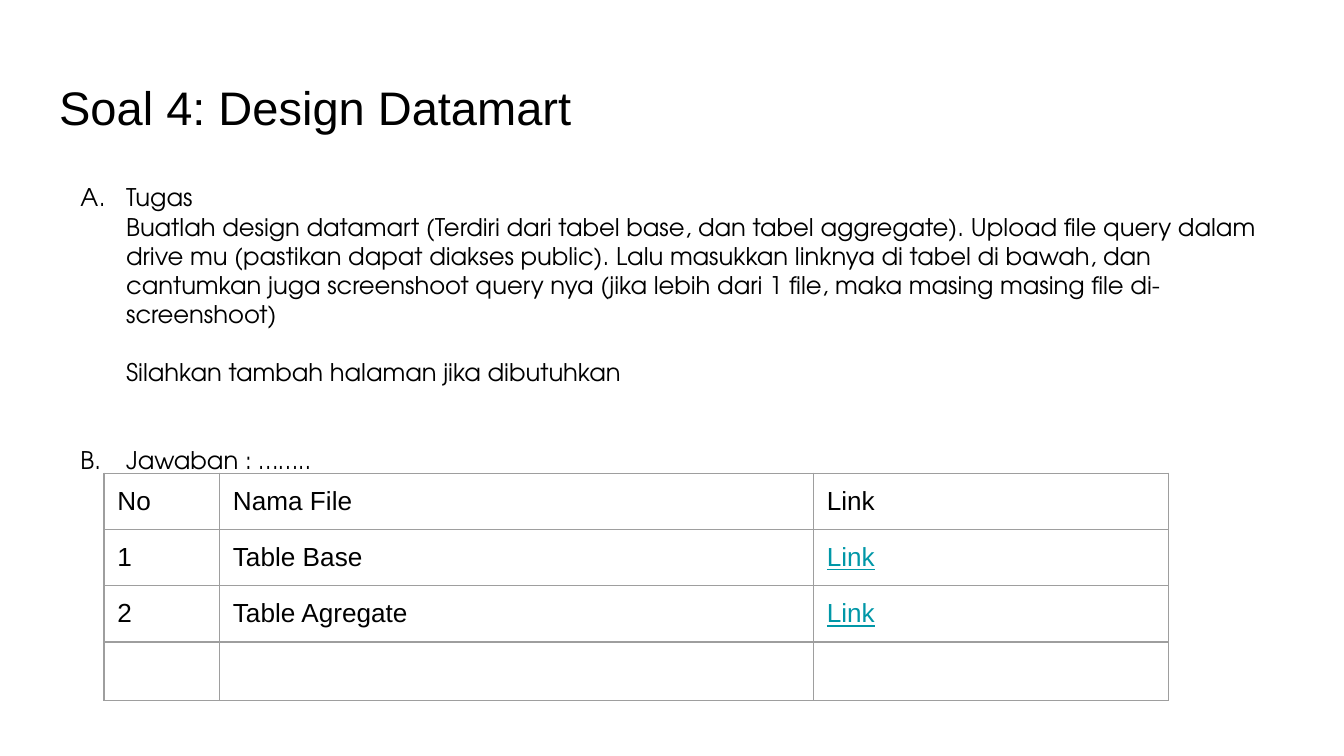
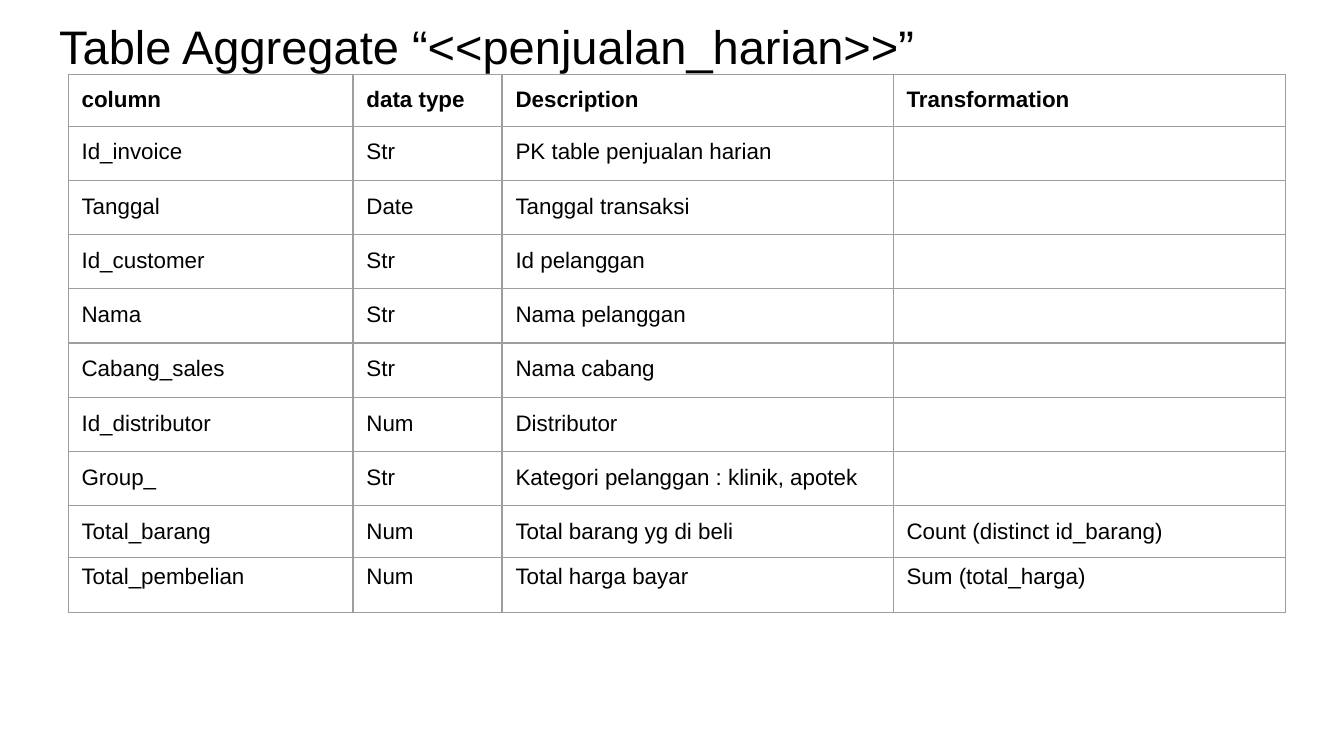
from lxml.etree import SubElement
from pptx import Presentation
from pptx.dml.color import RGBColor
from pptx.enum.text import MSO_ANCHOR, MSO_AUTO_SIZE, PP_ALIGN
from pptx.oxml.ns import qn
from pptx.util import Pt

BLACK, TEAL, GREY = "000000", "0097A7", "9E9E9E"
SANS, BODY_FONT = "Arial", "TeX Gyre Adventor"
INSET = 7.2
BODY_SIZE, BODY_LINE = 13, 15.6

TASK_TITLE = "Soal 4: Design Datamart"
TASK_BODY = [
    {"text": "Tugas", "number": 1},
    {"text": "Buatlah design datamart (Terdiri dari tabel base, dan tabel aggregate). "
             "Upload file query dalam drive mu (pastikan dapat diakses public). "
             "Lalu masukkan linknya di tabel di bawah, dan cantumkan juga screenshoot "
             "query nya (jika lebih dari 1 file, maka masing masing file di-screenshoot)"},
    {"text": "Silahkan tambah halaman jika dibutuhkan", "blank_lines": 1},
    {"text": "Jawaban : ……..", "number": 2, "blank_lines": 2},
]
FILE_ROWS = [
    ("No", "Nama File", "Link"),
    ("1", "Table Base", "Link"),
    ("2", "Table Agregate", "Link"),
    ("", "", ""),
]
FILE_WIDTHS = (61.9, 318.2, 190.1)

AGGREGATE_TITLE = "Table Aggregate “<<penjualan_harian>>”"
COLUMN_ROWS = [
    ("column", "data type", "Description", "Transformation"),
    ("Id_invoice", "Str", "PK table penjualan harian", ""),
    ("Tanggal", "Date", "Tanggal transaksi", ""),
    ("Id_customer", "Str", "Id pelanggan", ""),
    ("Nama", "Str", "Nama pelanggan", ""),
    ("Cabang_sales", "Str", "Nama cabang", ""),
    ("Id_distributor", "Num", "Distributor", ""),
    ("Group_", "Str", "Kategori pelanggan : klinik, apotek", ""),
    ("Total_barang", "Num", "Total barang yg di beli", "Count (distinct id_barang)"),
]
TOTAL_ROWS = [("Total_pembelian", "Num", "Total harga bayar", "Sum (total_harga)")]
COLUMN_WIDTHS = (152.6, 79.9, 209.5, 210.2)


def color(value):
    return RGBColor.from_string(value)


def write(paragraph, text, size, font=SANS, fill=BLACK, bold=False, underline=False):
    paragraph.alignment = PP_ALIGN.LEFT
    if not text:
        SubElement(paragraph._p, qn("a:endParaRPr"), sz=str(size * 100))
        return
    run = paragraph.add_run()
    run.text = text
    run.font.size = Pt(size)
    run.font.name = font
    run.font.bold = bold
    run.font.underline = underline
    run.font.color.rgb = color(fill)


def set_frame(frame):
    frame.word_wrap = True
    frame.auto_size = MSO_AUTO_SIZE.NONE
    frame.vertical_anchor = MSO_ANCHOR.TOP
    frame.margin_left = frame.margin_right = Pt(INSET)
    frame.margin_top = frame.margin_bottom = Pt(INSET)


def add_titled_slide(presentation, text, top):
    slide = presentation.slides.add_slide(presentation.slide_layouts[5])
    title = slide.shapes.title
    title.left, title.top, title.width, title.height = Pt(24.5), Pt(top), Pt(671), Pt(45.1)
    set_frame(title.text_frame)
    write(title.text_frame.paragraphs[0], text, 25.2)
    return slide


def indent(paragraph, number):
    properties = paragraph._p.get_or_add_pPr()
    properties.set("marL", str(Pt(36)))
    properties.set("indent", str(Pt(-24.5) if number else 0))
    if number:
        SubElement(properties, qn("a:buFont"), typeface=BODY_FONT)
        SubElement(properties, qn("a:buAutoNum"), type="alphaUcPeriod", startAt=str(number))
    else:
        SubElement(properties, qn("a:buNone"))


def add_body(slide, items):
    frame = slide.shapes.add_textbox(Pt(24.5), Pt(90.7), Pt(671), Pt(269)).text_frame
    set_frame(frame)
    for index, item in enumerate(items):
        paragraph = frame.add_paragraph() if index else frame.paragraphs[0]
        paragraph.space_before = Pt(BODY_LINE * item.get("blank_lines", 0))
        indent(paragraph, item.get("number"))
        write(paragraph, item["text"], BODY_SIZE, font=BODY_FONT)


def set_borders(cell):
    properties = cell._tc.get_or_add_tcPr()
    for position, side in enumerate(("lnL", "lnR", "lnT", "lnB")):
        line = SubElement(properties, qn(f"a:{side}"), w=str(Pt(0.75)))
        SubElement(SubElement(line, qn("a:solidFill")), qn("a:srgbClr"), val=GREY)
        properties.insert(position, line)


def add_grid(slide, rows, widths, left, top, row_height, size,
             bold_header=False, link_column=None, vertical_inset=INSET):
    table = slide.shapes.add_table(
        len(rows), len(widths), Pt(left), Pt(top),
        Pt(sum(widths)), Pt(row_height * len(rows))).table
    table.first_row = table.horz_banding = False
    for column, width in zip(table.columns, widths):
        column.width = Pt(width)
    for row_index, values in enumerate(rows):
        table.rows[row_index].height = Pt(row_height)
        for column_index, text in enumerate(values):
            cell = table.cell(row_index, column_index)
            cell.margin_left = cell.margin_right = Pt(INSET)
            cell.margin_top = cell.margin_bottom = Pt(vertical_inset)
            cell.fill.background()
            set_borders(cell)
            is_link = row_index > 0 and column_index == link_column
            write(cell.text_frame.paragraphs[0], text, size,
                  fill=TEAL if is_link else BLACK, underline=is_link,
                  bold=bold_header and row_index == 0)


def main():
    presentation = Presentation()
    presentation.slide_width, presentation.slide_height = Pt(720), Pt(405)

    task = add_titled_slide(presentation, TASK_TITLE, 35)
    add_body(task, TASK_BODY)
    add_grid(task, FILE_ROWS, FILE_WIDTHS, 55.7, 253.5, 30.1, 14, link_column=2)

    aggregate = add_titled_slide(presentation, AGGREGATE_TITLE, 2)
    add_grid(aggregate, COLUMN_ROWS, COLUMN_WIDTHS, 36.5, 39.7, 27.8, 12, bold_header=True)
    add_grid(aggregate, TOTAL_ROWS, COLUMN_WIDTHS, 36.5, 298.8, 29.3, 12, vertical_inset=3.6)

    presentation.save("out.pptx")


if __name__ == "__main__":
    main()
